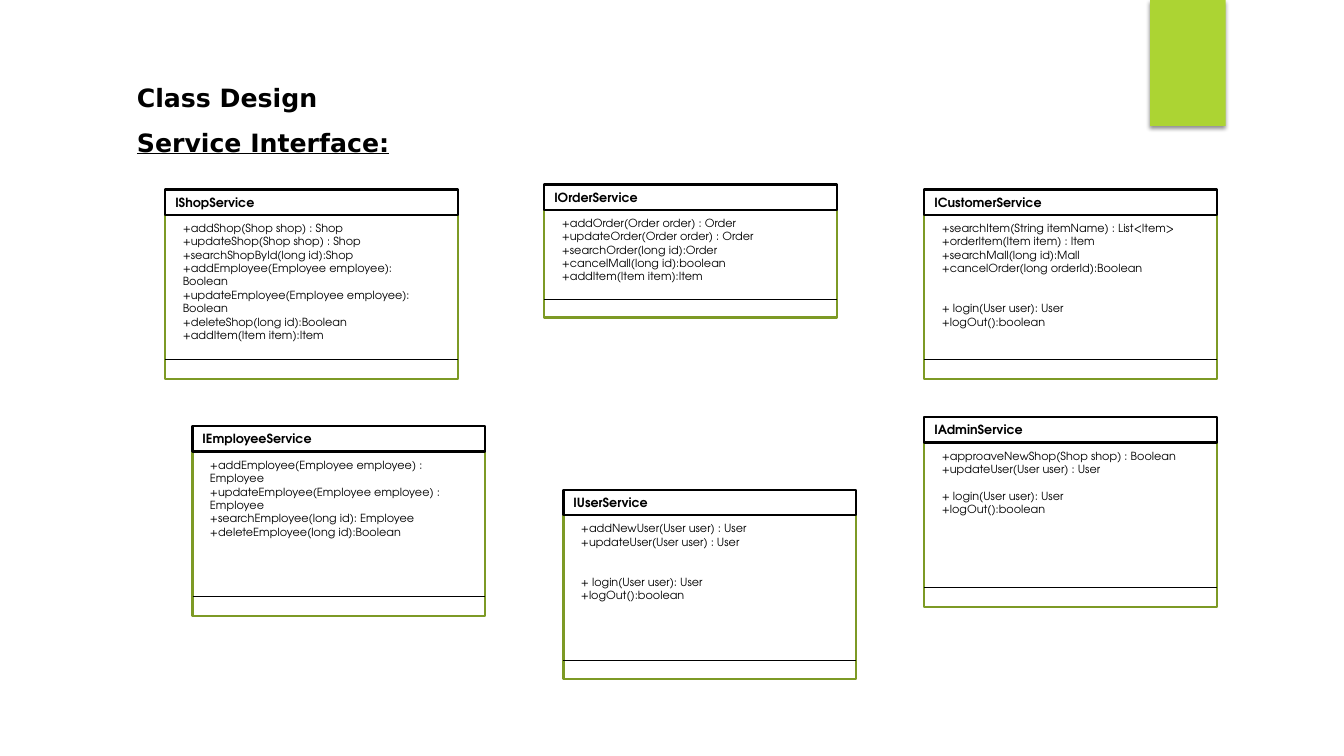
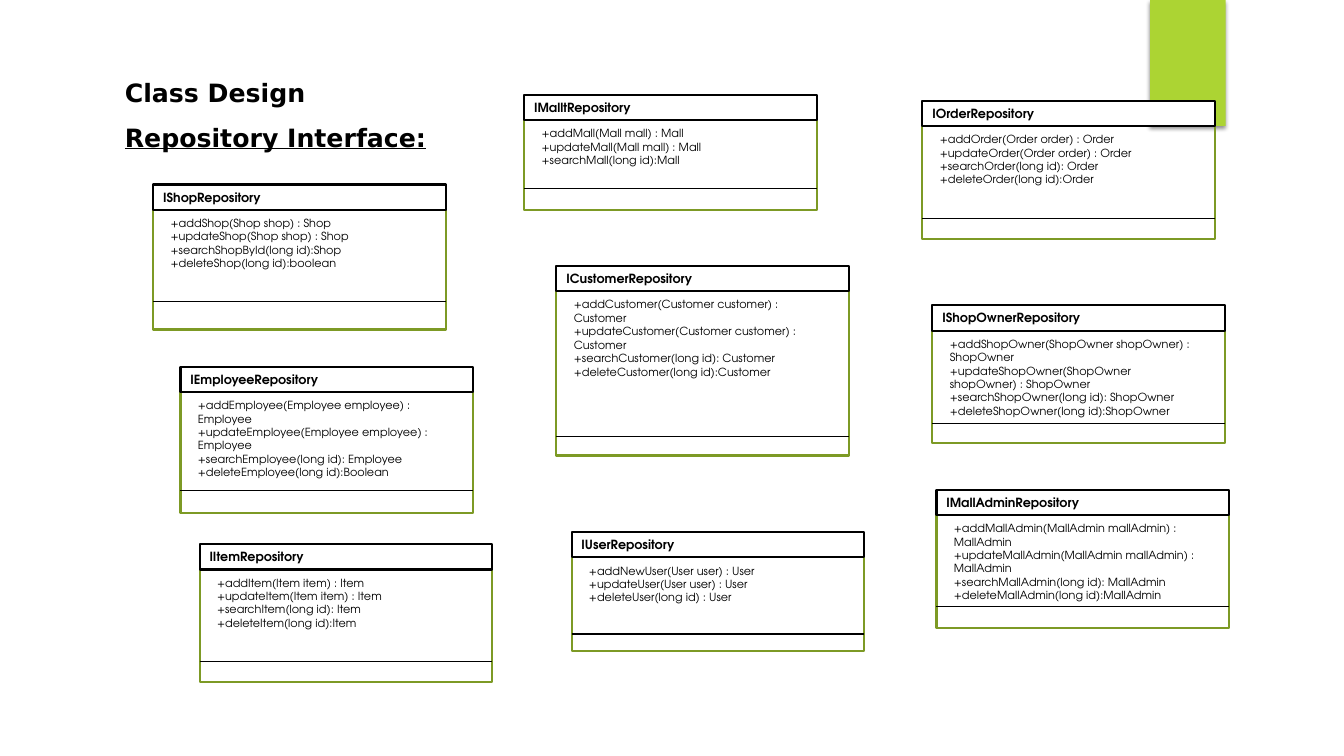
from lxml import etree
from pptx import Presentation
from pptx import util as u
from pptx.dml.color import RGBColor
from pptx.enum import shapes, text
from pptx.oxml import parse_xml
from pptx.oxml.ns import nsdecls, qn

COLOURS = {"tab": "ACD433", "frame": "7D9A25", "ink": "000000", "paper": "FFFFFF"}
FONTS = {"title": "DejaVu Sans", "body": "TeX Gyre Adventor"}
CELL = 0.1
LINE_PITCH = 9.6
CARD_WIDTH = 29.05
HEADER_HEIGHT = 2.5
HEADING_STEP = 4.4


def grid(cells):
    return u.Inches(cells * CELL)


def colour(name):
    return RGBColor.from_string(COLOURS[name])


def write(box, groups, *, size, font="body", bold=False, underline=False, gap=0, anchor="TOP"):
    frame = box.text_frame
    frame.word_wrap = True
    frame.auto_size = text.MSO_AUTO_SIZE.SHAPE_TO_FIT_TEXT
    frame.vertical_anchor = getattr(text.MSO_ANCHOR, anchor)
    lines = [(line, bool(number) and not index)
             for number, group in enumerate(groups) for index, line in enumerate(group)]
    for index, (line, opens_group) in enumerate(lines):
        para = frame.add_paragraph() if index else frame.paragraphs[0]
        para.alignment = text.PP_ALIGN.LEFT
        if opens_group:
            para.space_before = u.Pt(gap * LINE_PITCH)
        span = para.add_run()
        span.text = line
        span.font.name = FONTS[font]
        span.font.size = u.Pt(size)
        span.font.bold = bold
        span.font.underline = underline
        span.font.color.rgb = colour("ink")


class ClassDeck:
    """Draws pages of class cards on a grid of tenth-inch cells."""

    def __init__(self, columns, rows):
        self.deck = Presentation()
        self.deck.slide_width, self.deck.slide_height = grid(columns), grid(rows)
        self.page = None

    def add_page(self, column, row, *headings):
        self.page = self.deck.slides.add_slide(self.deck.slide_layouts[6])
        self.add_tab()
        for index, heading in enumerate(headings):
            self.add_text(column, row + index * HEADING_STEP, 76, 4, [[heading]],
                          size=18, font="title", bold=True, underline=index > 0)

    def add_tab(self):
        tab = self.add_box(114.1, 0, 7.5, 12.5, fill="tab")
        tab._element.spPr.remove(tab._element.spPr.find(qn("a:effectLst")))
        tab._element.spPr.append(parse_xml(
            f'<a:effectLst {nsdecls("a")}><a:outerShdw blurRad="38100" dist="25400" '
            'dir="5400000" rotWithShape="0"><a:srgbClr val="000000">'
            '<a:alpha val="44000"/></a:srgbClr></a:outerShdw></a:effectLst>'))

    def add_box(self, column, row, width, height, fill=None, line=None):
        box = self.page.shapes.add_shape(
            shapes.MSO_SHAPE.RECTANGLE, *map(grid, (column, row, width, height)))
        box.shadow.inherit = False
        if fill:
            box.fill.solid()
            box.fill.fore_color.rgb = colour(fill)
        else:
            box.fill.background()
        if line:
            box.line.color.rgb = colour(line)
            box.line.width = u.Pt(1.5)
        else:
            box.line.fill.background()
        return box

    def add_text(self, column, row, width, height, groups, **style):
        box = self.page.shapes.add_textbox(*map(grid, (column, row, width, height)))
        write(box, groups, **style)

    def add_rule(self, column, row, width):
        rule = self.page.shapes.add_connector(
            shapes.MSO_CONNECTOR.STRAIGHT, *map(grid, (column, row, column + width, row)))
        rule.line.color.rgb = colour("ink")
        rule.line.width = u.Pt(0.75)
        etree.SubElement(rule._element.spPr, qn("a:effectLst"))

    def add_card(self, column, row, height, name, *groups, foot=1.9, gap=0):
        self.add_box(column, row + 0.1, CARD_WIDTH, height, line="frame")
        header = self.add_box(column, row, CARD_WIDTH, HEADER_HEIGHT, fill="paper", line="ink")
        write(header, [[name]], size=9, bold=True)
        self.add_text(column + 0.75, row + 2.65, 27.3, height - HEADER_HEIGHT - foot,
                      groups, size=8, gap=gap)
        self.add_rule(column, row + 0.1 + height - foot, CARD_WIDTH)


SESSION = ["+ login(User user): User", "+logOut():boolean"]
EMPLOYEE = ["+addEmployee(Employee employee) : Employee",
            "+updateEmployee(Employee employee) : Employee",
            "+searchEmployee(long id): Employee", "+deleteEmployee(long id):Boolean"]
SHOP = ["+addShop(Shop shop) : Shop", "+updateShop(Shop shop) : Shop",
        "+searchShopById(long id):Shop"]
ORDER = ["+addOrder(Order order) : Order", "+updateOrder(Order order) : Order"]
USER = ["+addNewUser(User user) : User", "+updateUser(User user) : User"]


def crud(kind, argument):
    return [f"+add{kind}({kind} {argument}) : {kind}",
            f"+update{kind}({kind} {argument}) : {kind}",
            f"+search{kind}(long id): {kind}", f"+delete{kind}(long id):{kind}"]


def add_services(deck):
    deck.add_page(12.6, 7.7, "Class Design", "Service Interface:")
    deck.add_card(16.4, 18.8, 18.7, "IShopService", SHOP + [
        "+addEmployee(Employee employee): Boolean",
        "+updateEmployee(Employee employee): Boolean",
        "+deleteShop(long id):Boolean", "+addItem(Item item):Item"])
    deck.add_card(54, 18.3, 13.1, "IOrderService", ORDER + [
        "+searchOrder(long id):Order", "+cancelMall(long id):boolean",
        "+addItem(Item item):Item"], foot=1.8)
    deck.add_card(19.1, 42.3, 18.7, "IEmployeeService", EMPLOYEE)
    deck.add_card(55.9, 48.6, 18.7, "IUserService", USER, SESSION, gap=2)
    deck.add_card(91.7, 18.8, 18.7, "ICustomerService", [
        "+searchItem(String itemName) : List<Item>", "+orderItem(Item item) : Item",
        "+searchMall(long id):Mall", "+cancelOrder(long orderId):Boolean"], SESSION, gap=2)
    deck.add_card(91.7, 41.4, 18.7, "IAdminService", [
        "+approaveNewShop(Shop shop) : Boolean", "+updateUser(User user) : User"],
        SESSION, gap=1)


def add_repositories(deck):
    deck.add_page(11.4, 7.2, "Class Design", "Repository Interface:")
    deck.add_card(15.2, 18.3, 14.3, "IShopRepository",
                  SHOP + ["+deleteShop(long id):boolean"], foot=2.8)
    deck.add_card(52, 9.4, 11.3, "IMalltRepository", [
        "+addMall(Mall mall) : Mall", "+updateMall(Mall mall) : Mall",
        "+searchMall(long id):Mall"], foot=2.1)
    deck.add_card(17.9, 36.4, 14.4, "IEmployeeRepository", EMPLOYEE, foot=2.2)
    deck.add_card(56.7, 52.8, 11.7, "IUserRepository",
                  USER + ["+deleteUser(long id) : User"], foot=1.7)
    deck.add_card(55.2, 26.4, 18.7, "ICustomerRepository", crud("Customer", "customer"))
    for column, row, foot, kind, argument in (
            (91.5, 10, 2, "Order", "order"),
            (92.5, 30.3, 2, "ShopOwner", "shopOwner"),
            (92.9, 48.6, 2.1, "MallAdmin", "mallAdmin"),
            (19.8, 54, 2.1, "Item", "item")):
        deck.add_card(column, row, 13.6, f"I{kind}Repository", crud(kind, argument), foot=foot)


def main():
    deck = ClassDeck(columns=133.33, rows=75)
    add_services(deck)
    add_repositories(deck)
    deck.deck.save("out.pptx")


if __name__ == "__main__":
    main()
